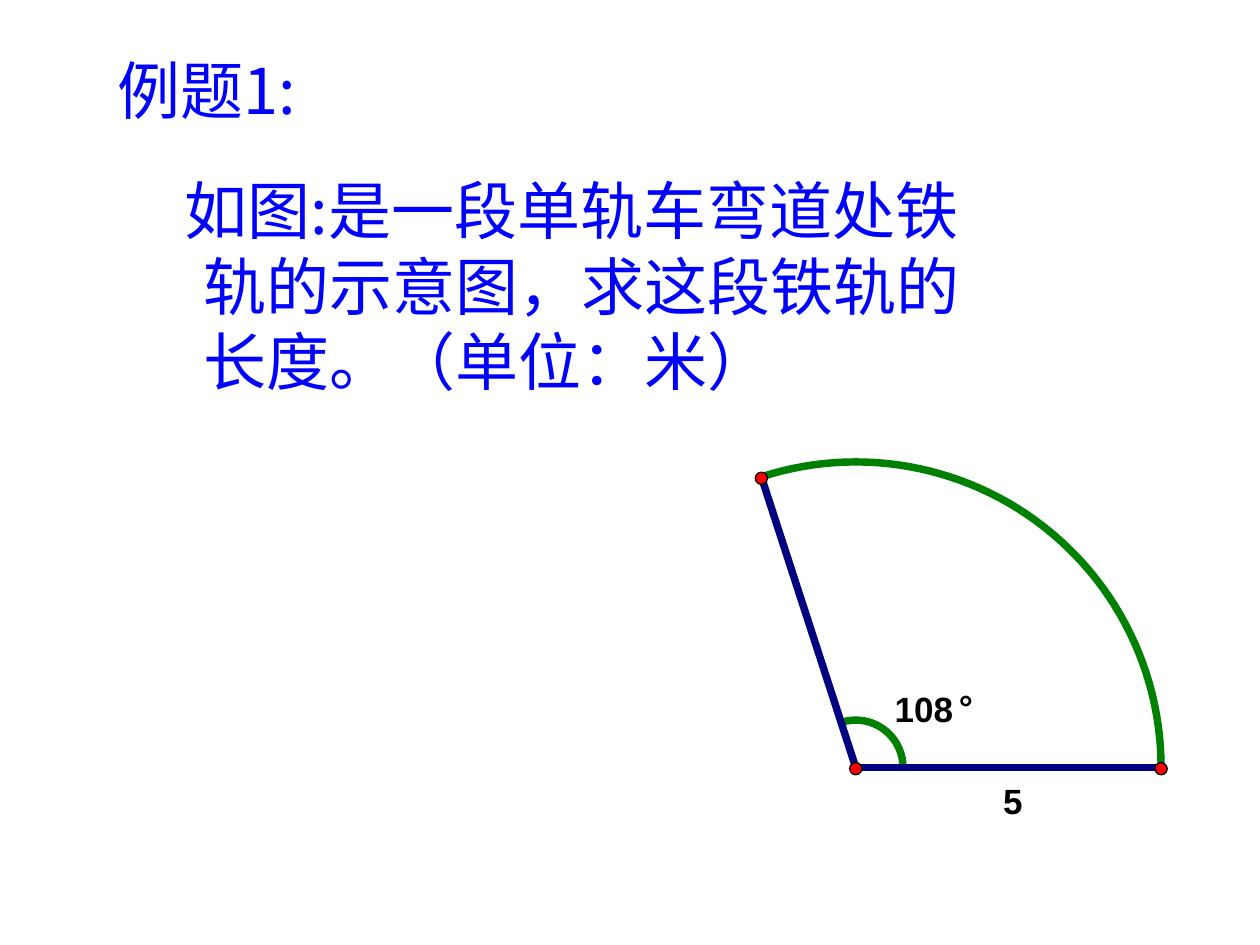
from dataclasses import dataclass
from math import cos, radians, sin

from lxml.etree import SubElement
from pptx import Presentation
from pptx.dml.color import RGBColor
from pptx.enum.shapes import MSO_CONNECTOR, MSO_SHAPE
from pptx.enum.text import PP_ALIGN
from pptx.oxml.ns import qn
from pptx.util import Pt


@dataclass(frozen=True)
class Theme:
    blue: RGBColor = RGBColor(0, 0, 255)
    green: RGBColor = RGBColor(0, 128, 0)
    navy: RGBColor = RGBColor(0, 0, 128)
    red: RGBColor = RGBColor(255, 0, 0)
    black: RGBColor = RGBColor(0, 0, 0)
    heading_font: str = "Noto Sans CJK JP"
    body_font: str = "Noto Sans CJK SC"
    label_font: str = "Arial"
    text_size: float = 36
    label_size: float = 20
    stroke: float = 4.25


THEME = Theme()
CENTER = (489, 438.5)
RADIUS = 174.5
ANGLE = 108
ANGLE_MARK_RADIUS = 27
POINT_SIZE = 7


def point_at(angle, radius=RADIUS):
    """Point on a circle round the sector's centre, counter-clockwise from the right."""
    turn = radians(angle)
    return CENTER[0] + radius * cos(turn), CENTER[1] - radius * sin(turn)


def add_text(slide, text, box, font, size, color, bold=False, wrap=False, inset=(0, 0)):
    frame = slide.shapes.add_textbox(*map(Pt, box)).text_frame
    frame.word_wrap = wrap
    frame.margin_left = frame.margin_right = Pt(inset[0])
    frame.margin_top = frame.margin_bottom = Pt(inset[1])
    frame.text = text
    paragraph = frame.paragraphs[0]
    paragraph.alignment = PP_ALIGN.LEFT if wrap else PP_ALIGN.CENTER
    run = paragraph.runs[0]
    run.font.size = Pt(size)
    run.font.bold = bold
    run.font.color.rgb = color
    run.font.name = font
    SubElement(run.font._element, qn("a:ea")).set("typeface", font)
    return paragraph


def set_indent(paragraph, left, first_line):
    properties = paragraph._p.get_or_add_pPr()
    properties.set("marL", str(Pt(left)))
    properties.set("indent", str(Pt(first_line)))


def add_label(slide, text, box):
    add_text(slide, text, box, THEME.label_font, THEME.label_size, THEME.black, bold=True)


def add_arc(slide, radius):
    """Arc from the slanted side of the sector down to the level side."""
    points = [tuple(map(Pt, point_at(angle, radius))) for angle in range(ANGLE, -1, -2)]
    builder = slide.shapes.build_freeform(*points[0], scale=1.0)
    builder.add_line_segments(points[1:], close=False)
    arc = builder.convert_to_shape()
    arc.shadow.inherit = False
    arc.fill.background()
    arc.line.color.rgb = THEME.green
    arc.line.width = Pt(THEME.stroke)


def add_side(slide, start, end):
    side = slide.shapes.add_connector(MSO_CONNECTOR.STRAIGHT, *map(Pt, start + end))
    side.line.color.rgb = THEME.navy
    side.line.width = Pt(THEME.stroke)
    SubElement(side._element.spPr, qn("a:effectLst"))


def add_point(slide, center):
    x, y = center
    box = (x - POINT_SIZE / 2, y - POINT_SIZE / 2 + 0.75, POINT_SIZE, POINT_SIZE)
    dot = slide.shapes.add_shape(MSO_SHAPE.OVAL, *map(Pt, box))
    dot.shadow.inherit = False
    dot.fill.solid()
    dot.fill.fore_color.rgb = THEME.red
    dot.line.color.rgb = THEME.black
    dot.line.width = Pt(0)


def main():
    deck = Presentation()
    deck.slide_width, deck.slide_height = Pt(720), Pt(540)
    slide = deck.slides.add_slide(deck.slide_layouts[6])

    problem = add_text(
        slide, "如图:是一段单轨车弯道处铁轨的示意图，求这段铁轨的长度。（单位：米）",
        (82, 94.5, 499, 137), THEME.body_font, THEME.text_size, THEME.blue,
        wrap=True, inset=(7.2, 3.6))
    set_indent(problem, 27, -10.5)
    add_text(slide, "例题1:", (55.5, 26, 125, 50.5), THEME.heading_font,
             THEME.text_size, THEME.blue, inset=(7.2, 3.6))

    for radius in (ANGLE_MARK_RADIUS, RADIUS):
        add_arc(slide, radius)
    arc_ends = point_at(0), point_at(ANGLE)
    for arc_end in arc_ends:
        add_side(slide, CENTER, arc_end)

    add_label(slide, "5", (573, 445.5, 11.5, 24))
    add_label(slide, "108", (511, 393, 34, 24))
    add_label(slide, "°", (548, 391.5, 5, 24))

    for vertex in (CENTER, *arc_ends):
        add_point(slide, vertex)

    deck.save("out.pptx")


if __name__ == "__main__":
    main()
